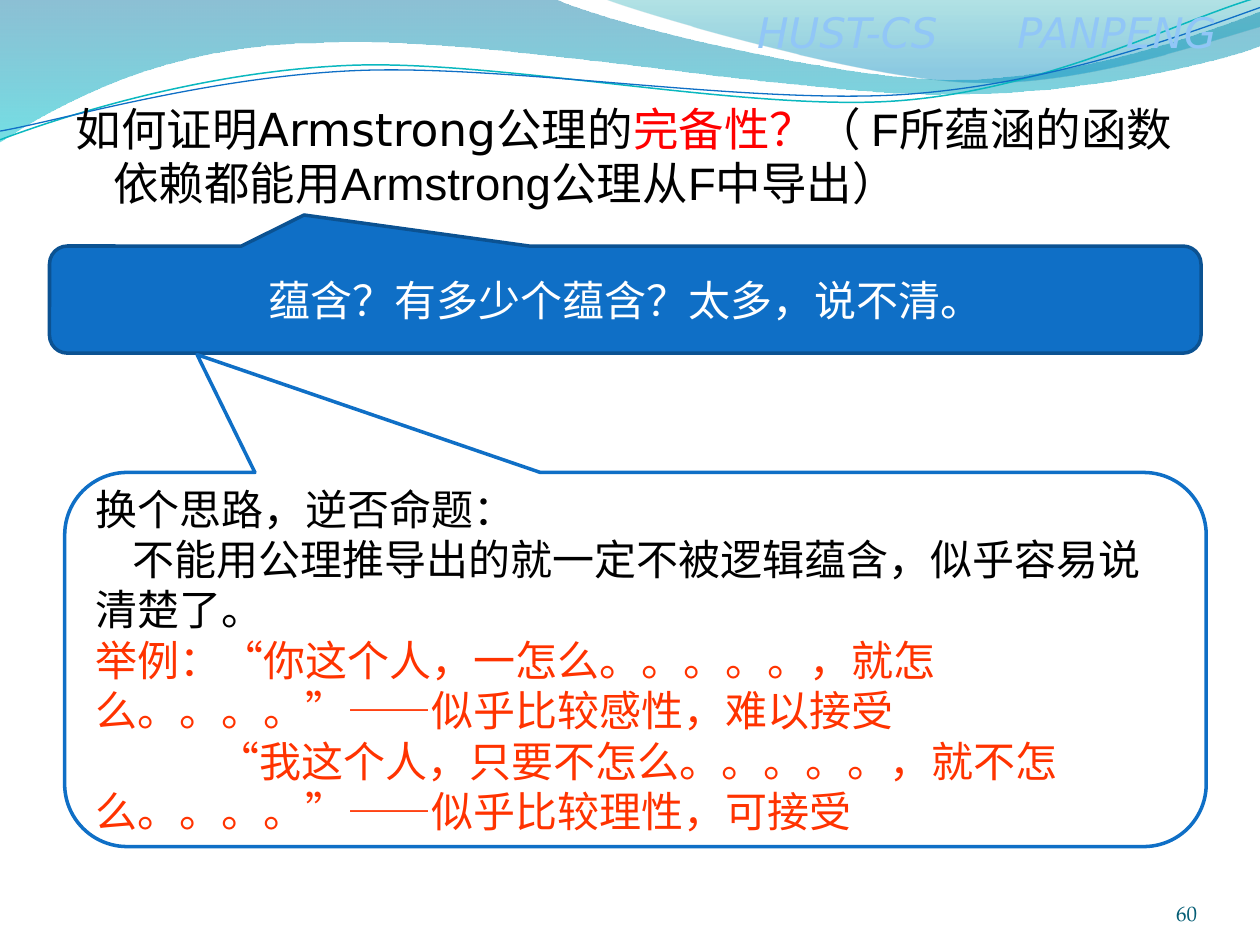
from lxml import etree
from pptx import Presentation
from pptx.dml.color import RGBColor
from pptx.enum.shapes import MSO_SHAPE
from pptx.enum.text import MSO_ANCHOR, PP_ALIGN
from pptx.oxml.ns import qn
from pptx.util import Pt

CALLOUT = MSO_SHAPE.ROUNDED_RECTANGULAR_CALLOUT
MIDDLE, BOTTOM = MSO_ANCHOR.MIDDLE, MSO_ANCHOR.BOTTOM
LEFT, CENTER, RIGHT = PP_ALIGN.LEFT, PP_ALIGN.CENTER, PP_ALIGN.RIGHT

COLORS = {
    "black": "000000", "white": "FFFFFF", "red": "FF0000", "orange": "FF3300",
    "blue": "0F6FC6", "navy": "0B5292", "sky": "91C6F7", "number": "045D75",
    "aqua": "0AB8BF", "deep": "0074A1", "cyan": "00C6CF", "teal": "00A1A9",
    "azure": "008BBF",
}
SANS, ARIAL, SERIF = "DejaVu Sans", "Arial", "TeX Gyre Pagella"

WAVES = [
    ((0, -0.7),
     [(316.8, -0.7), (342.7, 12.2, 478.1, 45.4, 545.8, 45.4),
      (614.2, 45.4, 689.8, 18.7, 720, 6.5), (720.7, 25.9),
      (707.8, 31.7, 626.4, 54.7, 537.1, 54), (447.8, 54, 275, 20.2, 185, 24.5),
      (92.9, 25.2, 33.1, 59.8, -0.7, 81.4)],
     [(0, "deep", 45), (1, "cyan", 55)]),
    ((344.9, -0.7),
     [(366.5, 7.9, 491, 44.6, 553.7, 46.8), (616.3, 49.7, 691.9, 23, 720, 15.1),
      (720, 0)],
     [(0, "teal", 30), (0.8, "azure", 45)]),
]
RIPPLES = [
    ((0, 79.9),
     [(34.6, 67, 113.8, 41, 199.4, 37.4), (284.4, 33.8, 427, 64.1, 513.4, 57.6),
      (599.8, 51.1, 675.4, 10.8, 718.6, -1.4)], "aqua", 0.85),
    ((0, 74.9),
     [(33.8, 69.1, 118.1, 43.9, 203.8, 40.3), (290.2, 36.7, 427, 59.8, 516.2, 54),
      (601.9, 48.2, 677.5, 19.4, 720, 4.3)], "blue", 0.75),
]
QUESTION = [
    ("如何证明Armstrong公理的", SANS, "black"),
    ("完备性？", SANS, "red"),
    ("（ ", SANS, "black"),
    ("F所蕴涵的函数依赖都能用Armstrong公理从F中导出", ARIAL, "black"),
    ("）", SANS, "black"),
]
IDEAS = [
    ("换个思路，逆否命题：", "black", 0),
    ("不能用公理推导出的就一定不被逻辑蕴含，似乎容易说清楚了。", "black", 21),
    ("举例：“你这个人，一怎么。。。。。，就怎么。。。。”——似乎比较感性，难以接受", "orange", 0),
    ("“我这个人，只要不怎么。。。。。，就不怎么。。。。”——似乎比较理性，可接受", "orange", 69.6),
]


def rgb(name):
    """Return the named colour."""
    return RGBColor.from_string(COLORS[name])


class PageBuilder:
    """Holds the text style and the current slide."""

    def __init__(self, page):
        """Start on a page and drop its unused title."""
        self.page = page
        self.shapes = page.shapes
        title = self.shapes.title.element
        title.getparent().remove(title)

    def span(self, para, text, font, size, color, italic=False):
        """Add one formatted run."""
        span = para.add_run()
        span.text = text
        formats = {"name": font, "size": Pt(size), "italic": italic}
        for key, value in formats.items():
            setattr(span.font, key, value)
        span.font.color.rgb = rgb(color)

    def outline(self, start, segments, close):
        """Add a freeform whose six-number segments are Bezier curves."""
        points = [(Pt(x), Pt(y)) for segment in segments
                  for x, y in zip(segment[::2], segment[1::2])]
        builder = self.shapes.build_freeform(*map(Pt, start), scale=1.0)
        builder.add_line_segments(points, close=close)
        shape = builder.convert_to_shape()
        shape.shadow.inherit = False
        lines = shape.element.iter(qn("a:lnTo"))
        steps = iter(list(lines))
        for segment in segments:
            first = next(steps)
            if len(segment) == 6:
                curve = etree.Element(qn("a:cubicBezTo"))
                first.addprevious(curve)
                for step in (first, next(steps), next(steps)):
                    curve.append(step[0])
                    step.getparent().remove(step)
        return shape

    def wave(self, start, segments, stops):
        """Add a translucent wave with a downward gradient."""
        shape = self.outline(start, segments, True)
        shape.line.fill.background()
        shape.fill.gradient()
        shape.fill.gradient_angle = 270
        nodes = shape.element.iter(qn("a:gs"))
        for stop, node, (position, color, opacity) in zip(
                shape.fill.gradient_stops, nodes, stops):
            stop.position = position
            stop.color.rgb = rgb(color)
            etree.SubElement(node[0], qn("a:alpha"), val=str(opacity * 1000))

    def ripple(self, start, segments, color, width):
        """Add a thin curved line."""
        shape = self.outline(start, segments, False)
        shape.fill.background()
        shape.line.color.rgb = rgb(color)
        shape.line.width = Pt(width)

    def label(self, frame, text, font, size, color, italic=False, align=LEFT,
              anchor=None, margin=None, tab=None):
        """Add a one-line text box."""
        box = self.shapes.add_textbox(*map(Pt, frame)).text_frame
        box.word_wrap = True
        if anchor is not None:
            box.vertical_anchor = anchor
        if margin is not None:
            for side in ("left", "top", "right", "bottom"):
                setattr(box, f"margin_{side}", Pt(margin))
        para = box.paragraphs[0]
        para.alignment = align
        if tab:
            tabs = etree.SubElement(para._p.get_or_add_pPr(), qn("a:tabLst"))
            etree.SubElement(tabs, qn("a:tab"), pos=str(Pt(tab)), algn="l")
        self.span(para, text, font, size, color, italic)

    def body(self, frame, spans, size, hang):
        """Fill the body placeholder with one hanging paragraph."""
        holder = self.page.placeholders[1]
        self.shapes._spTree.append(holder.element)
        for key, value in zip(("left", "top", "width", "height"), frame):
            setattr(holder, key, Pt(value))
        para = holder.text_frame.paragraphs[0]
        properties = para._p.get_or_add_pPr()
        properties.set("marL", str(Pt(hang)))
        properties.set("indent", str(-Pt(hang)))
        etree.SubElement(properties, qn("a:buNone"))
        para.space_before = Pt(0)
        for text, font, color in spans:
            self.span(para, text, font, size, color)

    def callout(self, frame, pointer, fill, line, paragraphs, align):
        """Add a rounded callout with coloured paragraphs."""
        shape = self.shapes.add_shape(CALLOUT, *map(Pt, frame))
        shape.shadow.inherit = False
        for index, value in enumerate(pointer):
            shape.adjustments[index] = value
        shape.fill.solid()
        shape.fill.fore_color.rgb = rgb(fill)
        shape.line.color.rgb = rgb(line)
        shape.line.width = Pt(2)
        box = shape.text_frame
        box.word_wrap = True
        box.vertical_anchor = MIDDLE
        for index, (text, color, indent) in enumerate(paragraphs):
            para = box.add_paragraph() if index else box.paragraphs[0]
            para.alignment = align
            if indent:
                para._p.get_or_add_pPr().set("indent", str(Pt(indent)))
            self.span(para, text, SERIF, 24, color)


def main():
    """Build and save the deck."""
    deck = Presentation()
    deck.slide_width, deck.slide_height = Pt(720), Pt(540)
    page = PageBuilder(deck.slides.add_slide(deck.slide_layouts[1]))
    for wave in WAVES:
        page.wave(*wave)
    for ripple in RIPPLES:
        page.ripple(*ripple)
    page.label((425.5, 0, 291.6, 36), "HUST-CS\tPANPENG", SANS, 24, "sky",
               italic=True, tab=148.6)
    page.body((36, 54, 648, 75.6), QUESTION, 26, 21.6)
    page.label((624, 500.4, 60, 28.8), "60", SERIF, 12, "number",
               align=RIGHT, anchor=BOTTOM, margin=0)
    page.callout((28.3, 140.6, 658, 61.2), (-0.279, -0.79, 0.167), "blue", "navy",
                 [("蕴含？有多少个蕴含？太多，说不清。", "white", 0)], CENTER)
    page.callout((37, 270, 652.3, 213.8), (-0.384, -0.815, 0.167), "white", "blue",
                 IDEAS, LEFT)
    deck.save("out.pptx")


if __name__ == "__main__":
    main()
